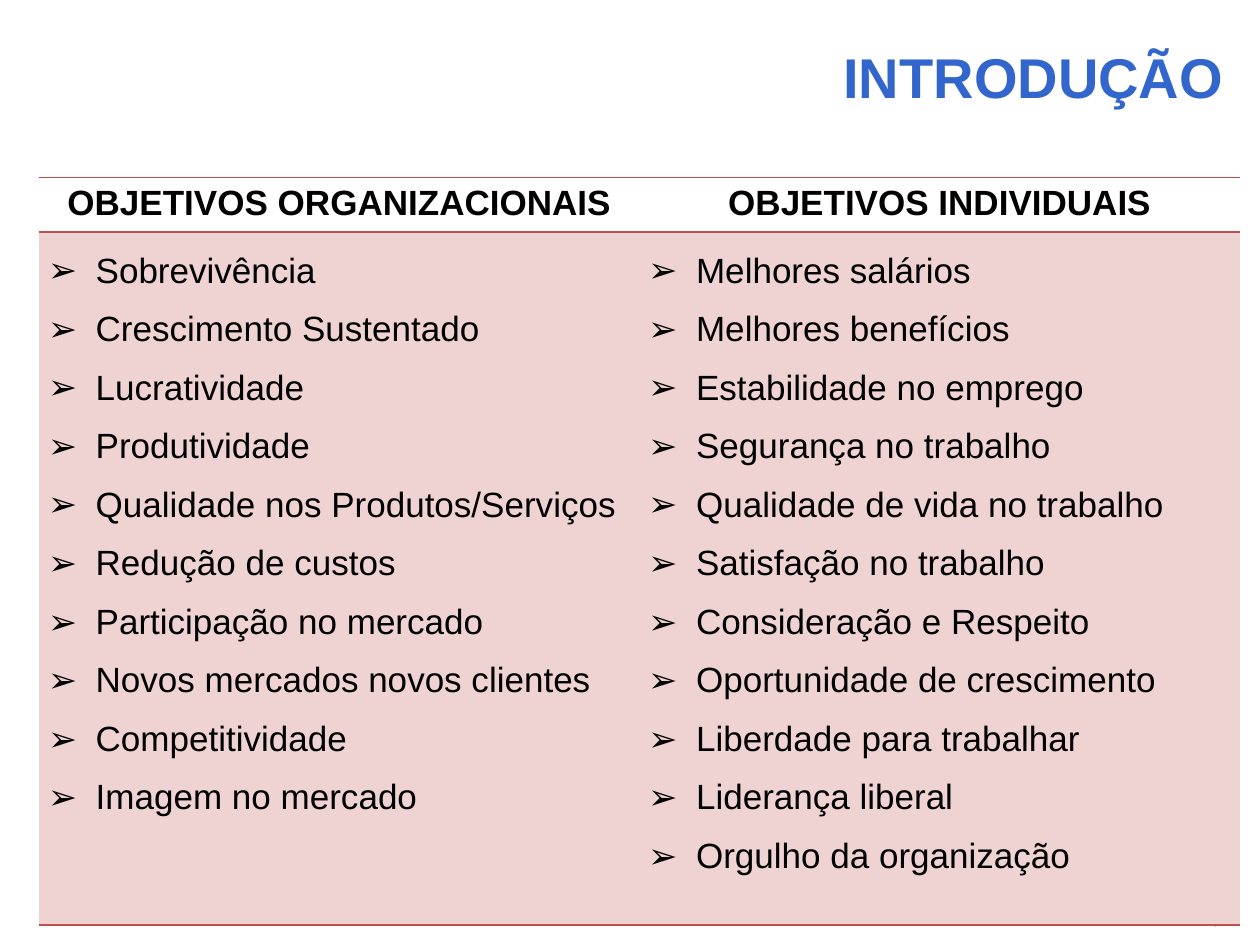
import pptx
import pptx.util
import pptx.dml.color
import pptx.enum.text
import pptx.oxml
import pptx.oxml.ns
import lxml.etree

BLUE = pptx.dml.color.RGBColor(0x33, 0x66, 0xCC)
BLACK = pptx.dml.color.RGBColor(0, 0, 0)
PINK = pptx.dml.color.RGBColor(0xEF, 0xD3, 0xD2)
RED = pptx.dml.color.RGBColor(0xC0, 0x50, 0x4D)
ALIGN = pptx.enum.text.PP_ALIGN
Inches = pptx.util.Inches
NAMESPACE = pptx.oxml.ns.nsdecls("a")
PLAIN_TABLE_STYLE = "{2D5ABB26-0587-4C30-8999-92F81FD0307C}"

COLUMNS = [
    ("OBJETIVOS ORGANIZACIONAIS", [
        "Sobrevivência", "Crescimento Sustentado", "Lucratividade",
        "Produtividade", "Qualidade nos Produtos/Serviços",
        "Redução de custos", "Participação no mercado",
        "Novos mercados novos clientes", "Competitividade",
        "Imagem no mercado"]),
    ("OBJETIVOS INDIVIDUAIS", [
        "Melhores salários", "Melhores benefícios", "Estabilidade no emprego",
        "Segurança no trabalho", "Qualidade de vida no trabalho",
        "Satisfação no trabalho", "Consideração e Respeito",
        "Oportunidade de crescimento", "Liberdade para trabalhar",
        "Liderança liberal", "Orgulho da organização"]),
]


def write(paragraph, text, size=20, color=BLACK, bold=False, align=ALIGN.LEFT,
          spacing=None, after=0, bullet=None):
    run = paragraph.add_run()
    run.text = text
    run.font.name = "Arial"
    run.font.size = pptx.util.Pt(size)
    run.font.bold = bold
    run.font.color.rgb = color
    paragraph.alignment = align
    paragraph.line_spacing = spacing
    paragraph.space_before = pptx.util.Pt(0)
    paragraph.space_after = pptx.util.Pt(after)
    if bullet:
        properties = paragraph._p.get_or_add_pPr()
        properties.set("marL", str(Inches(0.38)))
        properties.set("indent", str(-Inches(0.38)))
        properties.append(pptx.oxml.parse_xml(f'<a:buFont {NAMESPACE} typeface="Arial"/>'))
        properties.append(pptx.oxml.parse_xml(f'<a:buChar {NAMESPACE} char="{bullet}"/>'))


presentation = pptx.Presentation()
presentation.slide_width = Inches(10)
presentation.slide_height = Inches(7.5)
slide = presentation.slides.add_slide(presentation.slide_layouts[5])

title = slide.shapes.title
title.left, title.top = Inches(1.93), Inches(0.13)
title.width, title.height = Inches(7.88), Inches(0.95)
title.text_frame.vertical_anchor = pptx.enum.text.MSO_ANCHOR.MIDDLE
write(title.text_frame.paragraphs[0], "INTRODUÇÃO", size=32, color=BLUE,
      bold=True, align=ALIGN.RIGHT)

page_number = slide.shapes.add_textbox(Inches(9.49), Inches(7.11), Inches(0.63), Inches(0.34))
page_number.text_frame.word_wrap = True
write(page_number.text_frame.paragraphs[0], "6", size=14)

frame = slide.shapes.add_table(2, 2, Inches(0.31), Inches(1.41), Inches(9.53), Inches(5.93))
table = frame.table
table.first_row = table.horz_banding = False
table._tbl.tblPr.find(pptx.oxml.ns.qn("a:tableStyleId")).text = PLAIN_TABLE_STYLE
for row, height in zip(table.rows, (0.43, 5.5)):
    row.height = Inches(height)

for index, (heading, goals) in enumerate(COLUMNS):
    head, body = table.cell(0, index), table.cell(1, index)
    write(head.text_frame.paragraphs[0], heading, bold=True, align=ALIGN.CENTER,
          spacing=1.15, after=10)
    for number, goal in enumerate(goals):
        paragraph = body.text_frame.add_paragraph() if number else body.text_frame.paragraphs[0]
        write(paragraph, goal, spacing=1.5, bullet="➢")
    head.fill.background()
    body.fill.solid()
    body.fill.fore_color.rgb = PINK
    for cell in (head, body):
        cell.margin_left = cell.margin_right = Inches(0.07)
        cell.margin_top = cell.margin_bottom = 0
        for position, side in enumerate(("lnT", "lnB")):
            cell._tc.get_or_add_tcPr().insert(position, pptx.oxml.parse_xml(
                f'<a:{side} {NAMESPACE} w="12700"><a:solidFill>'
                f'<a:srgbClr val="{RED}"/></a:solidFill></a:{side}>'))

presentation.save("out.pptx")
